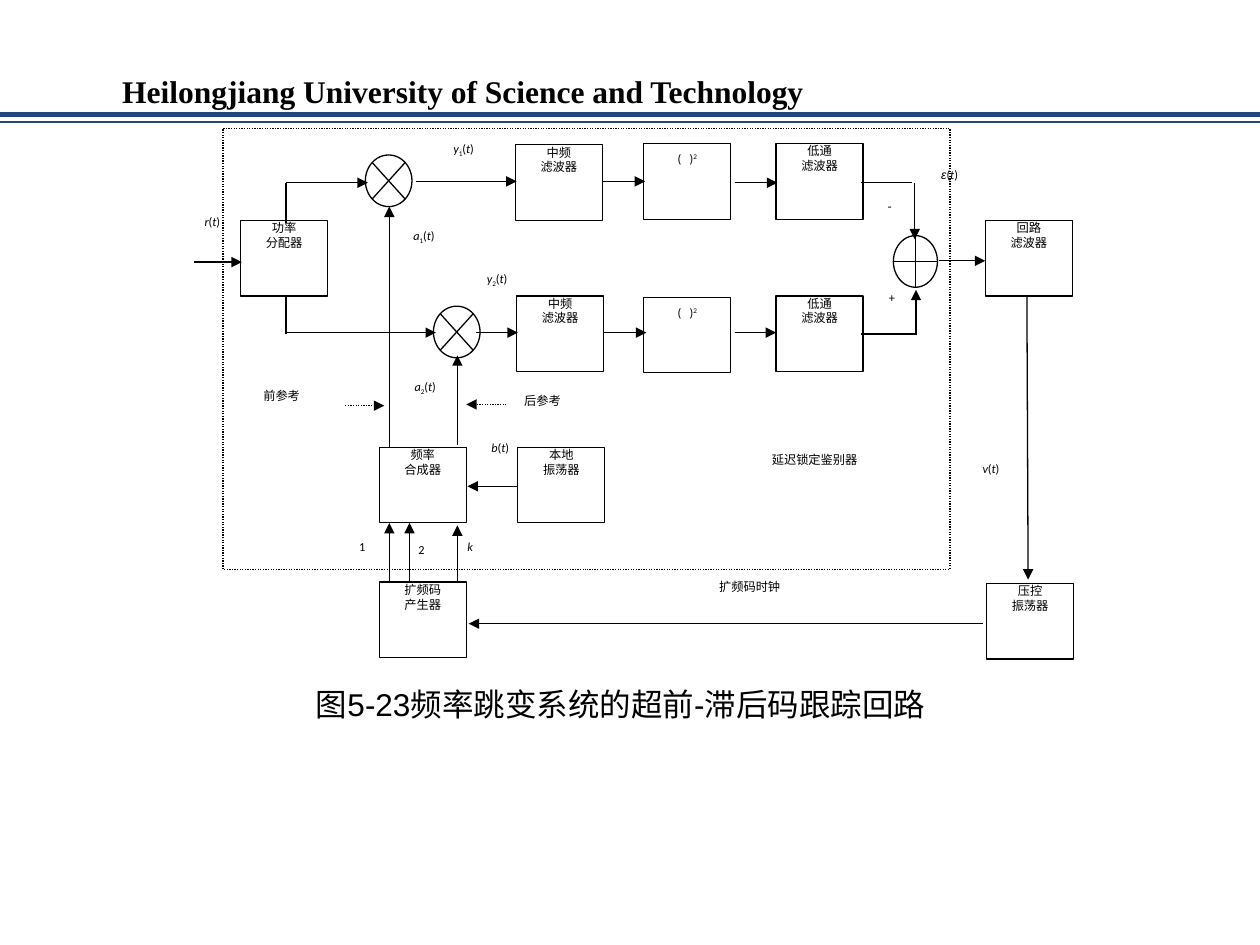
import pptx
import pptx.dml.color
import pptx.enum.dml
import pptx.enum.shapes
import pptx.enum.text
import pptx.oxml.ns
import pptx.util
from dataclasses import dataclass
from lxml import etree

PX = 9144  # EMU in one px, at 100 px to the inch
SHAPE = pptx.enum.shapes.MSO_SHAPE
ALIGN = pptx.enum.text.PP_ALIGN


@dataclass(frozen=True)
class Theme:
    ink: str = "000000"
    paper: str = "FFFFFF"
    rule: str = "1F497D"
    serif: str = "Times New Roman"
    sans: str = "Arial"
    label: str = "Calibri"
    heading_size: float = 18
    label_size: float = 7
    thin: float = 0.75


THEME = Theme()


def signal(name, index="", font=THEME.label):
    """Spans for a function of time, such as y1(t)."""
    subscript = [(index, {"baseline": -25000})] if index else []
    return [(name, {"italic": True, "font": font}), *subscript,
            ("(", {}), ("t", {"italic": True}), (")", {})]


HEADER = "Heilongjiang University of Science and Technology"
CAPTION = "图5-23频率跳变系统的超前-滞后码跟踪回路"
HEADER_RULES = [(91, 2.75), (97, 1.5)]  # y, width

BLOCK_SIZE = (69, 60)
BLOCKS = [  # left, top, lines
    (409, 115, ["中频", "滤波器"]),
    (616, 114, ["低通", "滤波器"]),
    (191, 175, ["功率", "分配器"]),
    (410, 235, ["中频", "滤波器"]),
    (616, 235, ["低通", "滤波器"]),
    (782, 175, ["回路", "滤波器"]),
    (301, 355, ["频率", "合成器"]),
    (411, 355, ["本地", "振荡器"]),
    (301, 462, ["扩频码", "产生器"]),
    (783, 463, ["压控", "振荡器"]),
]
SQUARERS = [(511, 114), (511, 236)]
SQUARE = [[("(   )", {}), ("2", {"baseline": 30000})]]

JUNCTIONS = [  # shape, left, top, width, height
    (SHAPE.FLOWCHART_SUMMING_JUNCTION, 344, 243, 37, 41),
    (SHAPE.FLOWCHART_SUMMING_JUNCTION, 290, 123, 37, 41),
    (SHAPE.FLOWCHART_OR, 709, 187, 35, 41),
]
FRAME = (177, 102, 577, 350)

ARROWS = [  # from x, from y, to x, to y
    (478, 144, 512, 144), (583, 145, 617, 145), (330, 144, 410, 144),
    (479, 264, 513, 264), (583, 264, 616, 264), (378, 264, 411, 264),
    (410, 386, 371, 386), (227, 145, 292, 145), (227, 264, 346, 264),
    (363, 353, 363, 282), (309, 355, 309, 164), (780, 495, 372, 495),
    (815, 235, 816, 460), (726, 145, 726, 190), (727, 265, 727, 230),
    (745, 207, 782, 207), (154, 208, 192, 208),
    (309, 462, 309, 415), (325, 462, 325, 415), (363, 462, 363, 417),
]
DOTTED_ARROWS = [(402, 321, 370, 321), (274, 322, 305, 322)]
WIRES = [(227, 177, 227, 145), (227, 265, 227, 235),
         (683, 265, 728, 265), (683, 145, 724, 145)]

CENTRED_LABELS = [  # left, top, width, height, text or spans
    (573, 359, 147, 32, "延迟锁定鉴别器"),
    (536, 460, 118, 32, "扩频码时钟"),
    (763, 366, 47, 34, signal("v")),
    (148, 170, 41, 32, signal("r")),
    (340, 112, 56, 30, signal("y", "1")),
    (370, 215, 49, 30, signal("y", "2")),
    (314, 181, 45, 32, signal("a", "1")),
    (316, 301, 43, 34, signal("a", "2")),
    (379, 349, 36, 32, signal("b")),
    (693, 230, 30, 30, "+"),
    (695, 157, 22, 30, [("-", {"font": THEME.serif})]),
]
JUSTIFIED_LABELS = [
    (747, 133, 54, 43, signal("ε", font=THEME.sans)),
    (209, 308, 58, 30, "前参考"),
    (416, 312, 58, 26, "后参考"),
    (285, 428, 17, 32, "1"),
    (371, 428, 19, 28, [("k", {"italic": True})]),
    (332, 430, 17, 24, "2"),
]


def emu(*lengths):
    return [pptx.util.Emu(length * PX) for length in lengths]


def colour(value):
    return pptx.dml.color.RGBColor.from_string(value)


def write(frame, paragraphs, *, font=THEME.label, size=THEME.label_size, bold=False,
          align=ALIGN.CENTER, insets=(0, 0, 0, 0), wrap=True):
    """Fill a text frame; a paragraph is a string or a list of (text, format) spans."""
    frame.word_wrap = wrap
    frame.auto_size = pptx.enum.text.MSO_AUTO_SIZE.NONE
    frame.vertical_anchor = pptx.enum.text.MSO_ANCHOR.TOP
    (frame.margin_left, frame.margin_top,
     frame.margin_right, frame.margin_bottom) = emu(*insets)
    for number, content in enumerate(paragraphs):
        para = frame.add_paragraph() if number else frame.paragraphs[0]
        para.alignment = align
        spans = [(content, {})] if isinstance(content, str) else content
        for text, style in spans:
            span = para.add_run()
            span.text = text
            span.font.name = style.get("font", font)
            span.font.size = pptx.util.Pt(size)
            span.font.bold = bold
            span.font.italic = style.get("italic", False)
            span.font.color.rgb = colour(THEME.ink)
            if "baseline" in style:
                span.font._element.set("baseline", str(style["baseline"]))


def format_line(line, shade=THEME.ink, width=THEME.thin, dotted=False):
    line.color.rgb = colour(shade)
    line.width = pptx.util.Pt(width)
    if dotted:
        line.dash_style = pptx.enum.dml.MSO_LINE.ROUND_DOT


def add_outline(shapes, kind, bounds, filled=True, dotted=False):
    shape = shapes.add_shape(kind, *emu(*bounds))
    shape.shadow.inherit = False
    if filled:
        shape.fill.solid()
        shape.fill.fore_color.rgb = colour(THEME.paper)
    else:
        shape.fill.background()
    format_line(shape.line, dotted=dotted)
    return shape


def add_line(shapes, ends, arrow=False, **style):
    connector = shapes.add_connector(pptx.enum.shapes.MSO_CONNECTOR.STRAIGHT, *emu(*ends))
    format_line(connector.line, **style)
    if arrow:
        etree.SubElement(connector.line._get_or_add_ln(),
                         pptx.oxml.ns.qn("a:tailEnd"), type="triangle")
    etree.SubElement(connector._element.spPr, pptx.oxml.ns.qn("a:effectLst"))


def add_header(page):
    title = page.shapes.title
    title.left, title.top, title.width, title.height = emu(87, 52, 570, 40)
    write(title.text_frame, [HEADER], font=THEME.serif, size=THEME.heading_size,
          bold=True, align=ALIGN.LEFT, insets=(10, 5, 10, 5))
    for y, width in HEADER_RULES:
        add_line(page.shapes, (0, y, 1000, y), shade=THEME.rule, width=width)


def add_diagram(shapes):
    for left, top, lines in BLOCKS:
        block = add_outline(shapes, SHAPE.RECTANGLE, (left, top, *BLOCK_SIZE))
        write(block.text_frame, lines)
    for corner in SQUARERS:
        block = add_outline(shapes, SHAPE.RECTANGLE, (*corner, *BLOCK_SIZE))
        write(block.text_frame, SQUARE, insets=(0, 6, 0, 0))
    for kind, *bounds in JUNCTIONS:
        add_outline(shapes, kind, bounds)
    for ends in WIRES:
        add_line(shapes, ends)
    for ends in ARROWS:
        add_line(shapes, ends, arrow=True)
    for ends in DOTTED_ARROWS:
        add_line(shapes, ends, arrow=True, dotted=True)
    add_outline(shapes, SHAPE.RECTANGLE, FRAME, filled=False, dotted=True)
    for align, labels in ((ALIGN.CENTER, CENTRED_LABELS), (ALIGN.JUSTIFY, JUSTIFIED_LABELS)):
        for *bounds, content in labels:
            box = shapes.add_textbox(*emu(*bounds))
            write(box.text_frame, [content], align=align)


def main():
    deck = pptx.Presentation()
    deck.slide_width, deck.slide_height = emu(1000, 750)
    page = deck.slides.add_slide(deck.slide_layouts.get_by_name("Title Only"))
    add_header(page)
    add_diagram(page.shapes.add_group_shape().shapes)
    caption = page.shapes.add_textbox(*emu(241, 539, 527, 70))
    write(caption.text_frame, [CAPTION], font=THEME.sans, size=THEME.heading_size,
          align=ALIGN.LEFT, insets=(10, 5, 10, 5), wrap=False)
    deck.save("out.pptx")


if __name__ == "__main__":
    main()
